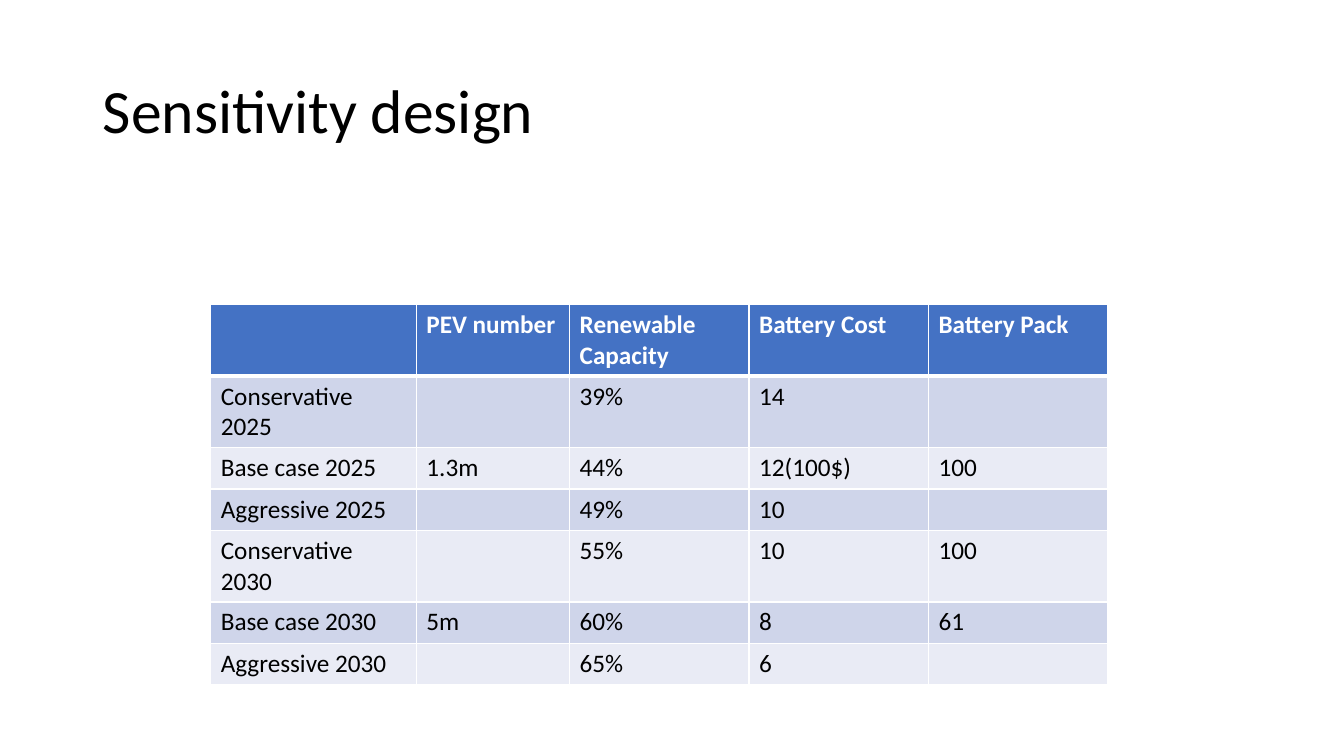
"""Build the sensitivity design slide with its scenario table."""
from lxml import etree
from pptx import Presentation
from pptx.dml.color import RGBColor
from pptx.enum.text import MSO_ANCHOR, PP_ALIGN
from pptx.oxml.ns import qn
from pptx.util import Inches, Pt

LEFT = PP_ALIGN.LEFT
MIDDLE = MSO_ANCHOR.MIDDLE
FONT = "Calibri"
BLACK, WHITE = "000000", "FFFFFF"
HEADER_FILL = "4472C4"
BAND_FILLS = ["CFD5EA", "E9EBF5"]

TITLE = "Sensitivity design"
ROWS = [
    ["", "PEV number", "Renewable Capacity", "Battery Cost", "Battery Pack"],
    ["Conservative 2025", "", "39%", "14", ""],
    ["Base case 2025", "1.3m", "44%", "12(100$)", "100"],
    ["Aggressive 2025", "", "49%", "10", ""],
    ["Conservative 2030", "", "55%", "10", "100"],
    ["Base case 2030", "5m", "60%", "8", "61"],
    ["Aggressive 2030", "", "65%", "6", ""],
]
COL_WIDTHS = [2.04, 1.52, 1.78, 1.78, 1.78]
ROW_HEIGHT = 0.41


def rgb(color):
    return RGBColor.from_string(color)


def add_run(p, text, size, color, bold=False):
    r = p.add_run()
    r.text = text
    r.font.name = FONT
    r.font.size = Pt(size)
    r.font.bold = bold
    r.font.color.rgb = rgb(color)


def set_borders(cell, widths):
    tc_pr = cell._tc.get_or_add_tcPr()
    for side, width in widths.items():
        ln = etree.SubElement(tc_pr, qn(f"a:ln{side}"), w=str(Pt(width)))
        fill = etree.SubElement(ln, qn("a:solidFill"))
        etree.SubElement(fill, qn("a:srgbClr"), val=WHITE)


def add_title(s):
    sp = s.shapes.title
    sp.left, sp.top = Inches(0.92), Inches(0.4)
    sp.width, sp.height = Inches(11.5), Inches(1.45)
    tf = sp.text_frame
    tf.vertical_anchor = MIDDLE
    p = tf.paragraphs[0]
    p.alignment = LEFT
    p.line_spacing = 0.9
    add_run(p, TITLE, 44, BLACK)


def add_scenarios(s):
    table = s.shapes.add_table(
        len(ROWS), len(COL_WIDTHS), Inches(2.09), Inches(3.02),
        Inches(sum(COL_WIDTHS)), Inches(ROW_HEIGHT * len(ROWS))).table
    for column, width in zip(table.columns, COL_WIDTHS):
        column.width = Inches(width)
    for i, values in enumerate(ROWS):
        table.rows[i].height = Inches(ROW_HEIGHT)
        header = i == 0
        fill = HEADER_FILL if header else BAND_FILLS[(i - 1) % 2]
        borders = {"L": 1, "R": 1, "T": 3 if i == 1 else 1, "B": 3 if header else 1}
        for j, text in enumerate(values):
            cell = table.cell(i, j)
            set_borders(cell, borders)
            cell.fill.solid()
            cell.fill.fore_color.rgb = rgb(fill)
            if text:
                add_run(cell.text_frame.paragraphs[0], text, 18,
                        WHITE if header else BLACK, header)


def main():
    prs = Presentation()
    prs.slide_width, prs.slide_height = Inches(13.33), Inches(7.5)
    s = prs.slides.add_slide(prs.slide_layouts[5])
    add_title(s)
    add_scenarios(s)
    prs.save("out.pptx")


if __name__ == "__main__":
    main()
